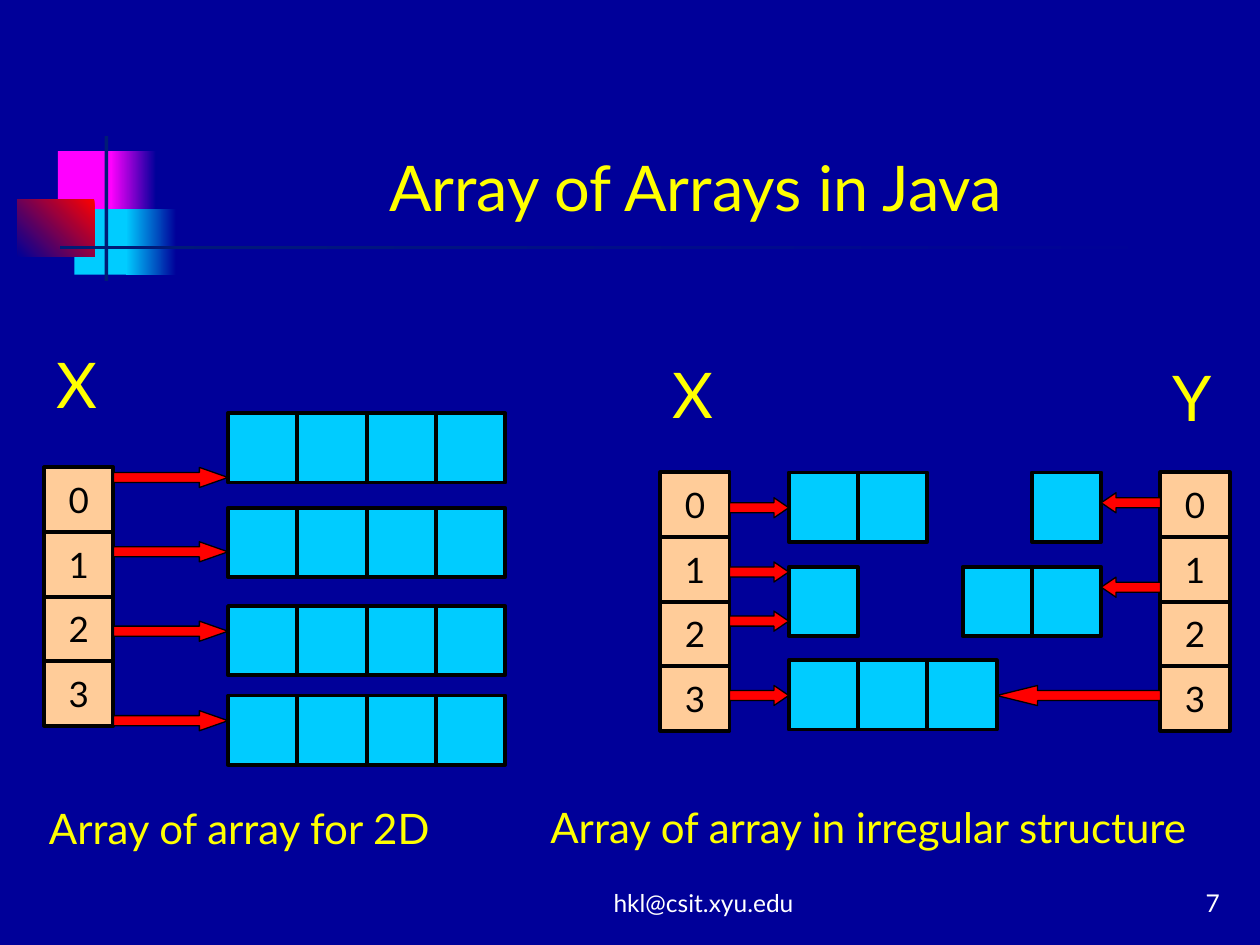
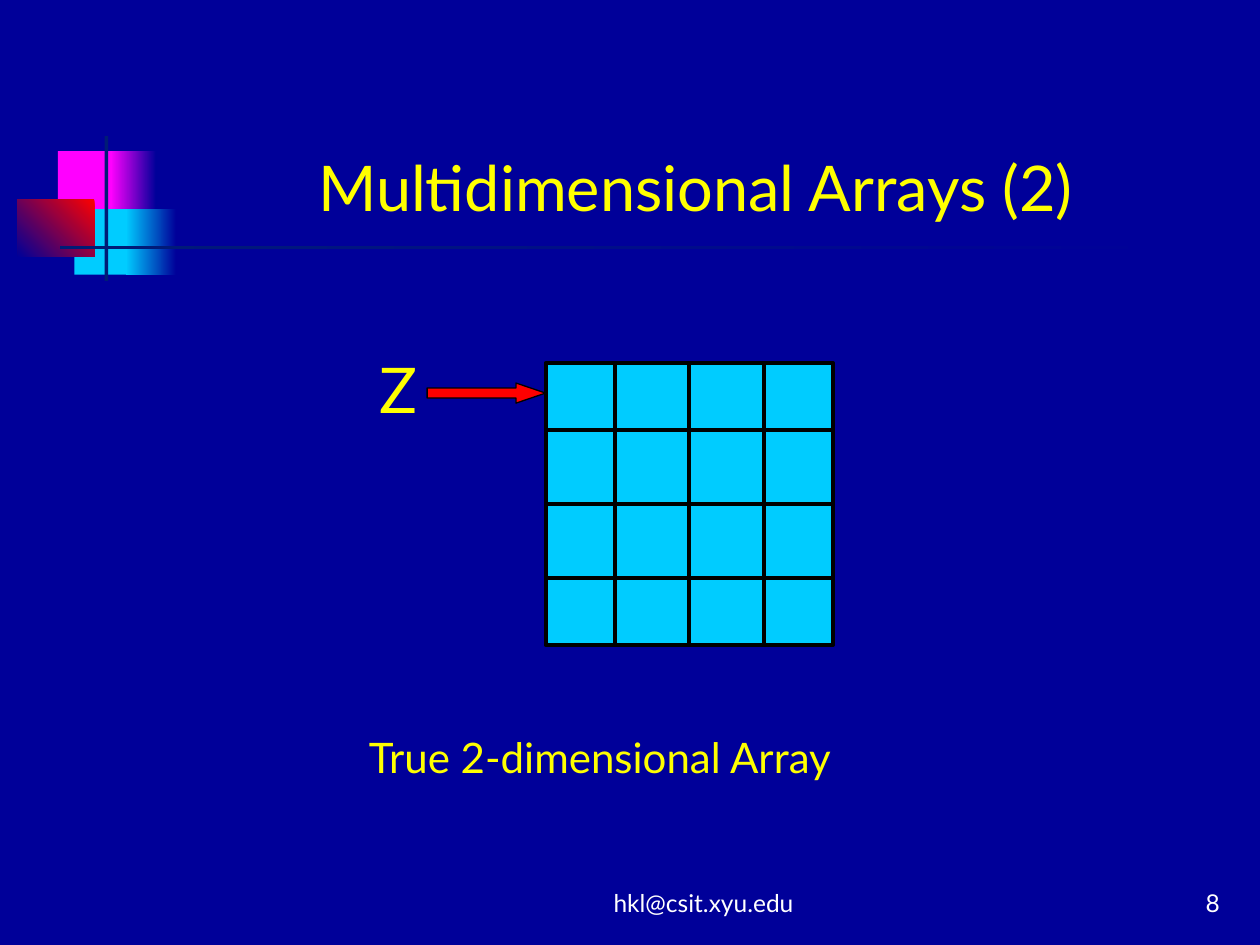
from dataclasses import dataclass

from lxml import etree
from pptx import Presentation
from pptx.dml.color import RGBColor
from pptx.enum.shapes import MSO_CONNECTOR, MSO_SHAPE
from pptx.enum.text import MSO_ANCHOR, MSO_AUTO_SIZE, PP_ALIGN
from pptx.oxml.ns import qn
from pptx.util import Emu, Pt

PX = 9144  # EMU per px, 100 px to the inch
RECT, ARROW = MSO_SHAPE.RECTANGLE, MSO_SHAPE.RIGHT_ARROW
STRAIGHT = MSO_CONNECTOR.STRAIGHT
LEFT, CENTER, RIGHT = PP_ALIGN.LEFT, PP_ALIGN.CENTER, PP_ALIGN.RIGHT
TOP, MIDDLE, BOTTOM = MSO_ANCHOR.TOP, MSO_ANCHOR.MIDDLE, MSO_ANCHOR.BOTTOM
NO_FIT = MSO_AUTO_SIZE.NONE


@dataclass(frozen=True)
class Theme:
    font: str = "Lato"
    back: str = "000099"
    text: str = "FFFF00"
    footer: str = "FFFFFF"
    ink: str = "000000"
    cell: str = "00CCFF"
    index: str = "FFCC99"
    arrow: str = "FF0000"
    magenta: str = "FF00FF"
    rule: str = "001C76"
    title_size: int = 36
    caption_size: int = 24
    index_size: int = 20
    footer_size: int = 14
    cell_line: float = 2.25
    arrow_line: float = 0.75


T = Theme()
FOOTER = "hkl@csit.xyu.edu"
CELL = 55      # side of an array cell
ARROW_H = 16


# ---- basics ----
def emu(*lengths):
    return [Emu(round(v * PX)) for v in lengths]


def rgb(color):
    return RGBColor.from_string(color)


def set_all(obj, values):
    for name, value in values.items():
        setattr(obj, name, value)


def write(tf, text, size, color, align=LEFT, anchor=TOP):
    set_all(tf, {"word_wrap": True, "auto_size": NO_FIT, "vertical_anchor": anchor})
    p = tf.paragraphs[0]
    p.alignment = align
    r = p.add_run()
    r.text = text
    set_all(r.font, {"name": T.font, "size": Pt(size), "bold": False})
    r.font.color.rgb = rgb(color)


def add_text(s, box, text, size, color=T.text, align=LEFT, anchor=TOP):
    sp = s.shapes.add_textbox(*emu(*box))
    write(sp.text_frame, text, size, color, align, anchor)


def add_box(s, box, fill, line=None, kind=RECT):
    """Preset shape; fill is a colour or (start, end, clockwise angle)."""
    sp = s.shapes.add_shape(kind, *emu(*box))
    sp.shadow.inherit = False
    if isinstance(fill, tuple):
        *colors, angle = fill
        sp.fill.gradient()
        sp.fill.gradient_angle = 360 - angle
        for stop, color in zip(sp.fill.gradient_stops, colors):
            stop.color.rgb = rgb(color)
    else:
        sp.fill.solid()
        sp.fill.fore_color.rgb = rgb(fill)
    if line:
        sp.line.color.rgb = rgb(T.ink)
        sp.line.width = Pt(line)
    else:
        sp.line.fill.background()
    return sp


def add_arrow(s, x, y, length, to_left=False):
    sp = add_box(s, (x, y, length, ARROW_H), T.arrow, T.arrow_line, ARROW)
    sp.adjustments[1] = length / 4 / ARROW_H  # head is a quarter of the length
    if to_left:
        sp.rotation = 180


def add_line(s, x1, y1, x2, y2):
    cx = s.shapes.add_connector(STRAIGHT, *emu(x1, y1, x2, y2))
    cx.line.color.rgb = rgb(T.ink)
    cx.line.width = Pt(T.cell_line)
    etree.SubElement(cx.element.spPr, qn("a:effectLst"))
    return cx


# ---- shared slide frame ----
def add_ornament(s, x, y):
    """Coloured squares and crossing rules behind the title."""
    for dx, dy, w, h, fill in (
        (32, 12, 48, 52, T.magenta),
        (74, 12, 36, 52, (T.back, T.magenta, 180)),
        (45, 58, 46, 52, T.cell),
        (86, 58, 40, 52, (T.back, T.cell, 180)),
        (0, 50, 61, 46, (T.arrow, T.back, 135)),
        (69, 0, 3, 115, T.rule),
        (34, 87, 900, 3, (T.back, T.rule, 180)),
    ):
        add_box(s, (x + dx, y + dy, w, h), fill)


def new_slide(prs, title, number):
    s = prs.slides.add_slide(prs.slide_layouts[5])
    add_ornament(s, 14, 108)
    sp = s.shapes.title
    set_all(sp, dict(zip(("left", "top", "width", "height"), emu(126, 23, 852, 160))))
    write(sp.text_frame, title, T.title_size, T.text, CENTER, BOTTOM)
    for box, text, align in (((400, 683, 317, 50), FOOTER, CENTER),
                             ((770, 683, 208, 50), str(number), RIGHT)):
        add_text(s, box, text, T.footer_size, T.footer, align, BOTTOM)
    return s


# ---- array parts ----
def add_name(s, x, y, name):
    add_text(s, (x, y, 49, 70), name, T.title_size)


def add_caption(s, x, y, w, text):
    add_text(s, (x, y, w, 50), text, T.caption_size)


def add_index(s, x, y, w, h, count=4):
    """Column of numbered cells filling the box."""
    step = h / count
    for i in range(count):
        sp = add_box(s, (x, y + i * step, w, step), T.index, T.cell_line)
        write(sp.text_frame, str(i), T.index_size, T.ink, CENTER, MIDDLE)


def add_row(s, x, y, count):
    for i in range(count):
        add_box(s, (x + i * CELL, y, CELL, CELL), T.cell, T.cell_line)


def add_regular(s, x, y):
    """Index column pointing to four rows of equal length."""
    add_name(s, x + 6, y, "X")
    add_index(s, x + 6, y + 102, CELL, 205)
    for arrow_y, row_y in ((102, 59), (161, 134), (224, 212), (295, 283)):
        add_arrow(s, x + 61, y + arrow_y, 91)
        add_row(s, x + 152, y + row_y, 4)
    add_caption(s, x, y + 363, 341, "Array of array for 2D")


def add_irregular(s, x, y):
    """Two index columns pointing to rows of unequal length, one shared."""
    left, right, index_y = x + 97, x + 494, y + 98
    add_name(s, left, y, "X")
    add_name(s, right, y + 3, "Y")
    for column in (left, right):
        add_index(s, column, index_y, CELL, 205)
    for dx, dy, count in ((102, 0, 2), (102, 75, 1), (102, 149, 3),
                          (295, 0, 1), (240, 75, 2)):
        add_row(s, left + dx, index_y + dy, count)
    for dy in (20, 71, 110, 169):
        add_arrow(s, left + CELL, index_y + dy, 47)
    for dy, length in ((16, 47), (83, 47), (169, 130)):
        add_arrow(s, right - length, index_y + dy, length, to_left=True)
    add_caption(s, x, y + 354, 571, "Array of array in irregular structure")


def add_grid(s, x, y, w, h, step=59):
    """Square ruled 4 by 4, with lines spaced out from its centre."""
    sp = add_box(s, (x, y, w, h), T.cell, T.cell_line)
    for offset in (-step, 0, step):
        across, down = x + w / 2 + offset, y + h / 2 + offset
        for ends, sites in (((x, down, x + w, down), (1, 3)),
                            ((across, y, across, y + h), (0, 2))):
            cx = add_line(s, *ends)
            if offset == 0:
                cx.begin_connect(sp, sites[0])
                cx.end_connect(sp, sites[1])


def add_true_2d(s, x, y):
    add_grid(s, x + 150, y + 15, 228, 224)
    add_name(s, x + 8, y, "Z")
    add_arrow(s, x + 56, y + 31, 94)
    add_caption(s, x, y + 303, 415, "True 2-dimensional Array")


def main():
    prs = Presentation()
    prs.slide_width, prs.slide_height = emu(1000, 750)
    fill = prs.slide_master.background.fill
    fill.solid()
    fill.fore_color.rgb = rgb(T.back)

    s = new_slide(prs, "Array of Arrays in Java", 7)
    add_regular(s, 29, 269)
    add_irregular(s, 427, 277)

    s = new_slide(prs, "Multidimensional Arrays (2)", 8)
    add_true_2d(s, 283, 273)

    prs.save("out.pptx")


if __name__ == "__main__":
    main()
